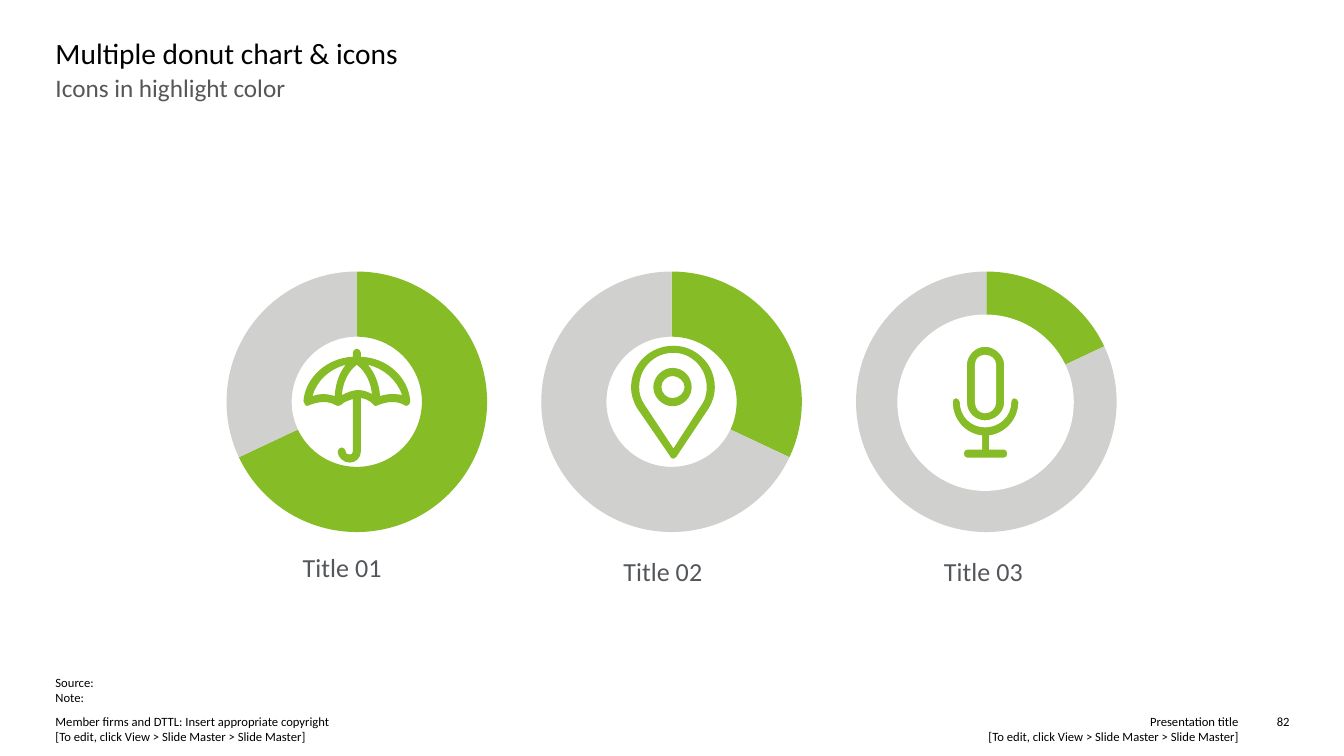
"""Build a slide with three donut charts, each with an icon in its hole."""
from lxml import etree
from pptx import Presentation
from pptx.chart.data import CategoryChartData
from pptx.dml.color import RGBColor
from pptx.enum.chart import XL_CHART_TYPE
from pptx.enum.shapes import MSO_SHAPE
from pptx.enum.text import MSO_ANCHOR, PP_ALIGN
from pptx.oxml import parse_xml
from pptx.oxml.ns import nsdecls, qn
from pptx.util import Inches, Pt

DISC, DONUT = MSO_SHAPE.OVAL, XL_CHART_TYPE.DOUGHNUT
LEFT, RIGHT, TOP = PP_ALIGN.LEFT, PP_ALIGN.RIGHT, MSO_ANCHOR.TOP
GREEN = RGBColor(0x86, 0xBC, 0x25)
GREY = RGBColor(0xD0, 0xD0, 0xCE)
LABEL = RGBColor(0x53, 0x56, 0x5A)
MUTED = RGBColor(0x57, 0x57, 0x57)
BLACK = RGBColor(0, 0, 0)
WHITE = RGBColor(0xFF, 0xFF, 0xFF)

WIDE, HIGH = Inches(13.33), Inches(7.5)
FONT = "Calibri"
EDIT = "[To edit, click View > Slide Master > Slide Master]"

HEAD = ("Multiple donut chart & icons", (4.13, 4.67, 91.82, 4.93), 21, BLACK)
SUB = ("Icons in highlight color", (4.13, 9.55, 91.82, 11.07), 18, MUTED)
NOTES = [
    ("Source:\nNote:", (4.13, 89.25, 91.6, 3.87), LEFT),
    ("Member firms and DTTL: Insert appropriate copyright\v" + EDIT,
     (4.13, 94.4, 43.96, 4), LEFT),
    ("Presentation title\v" + EDIT, (51.99, 94.4, 40.14, 4), RIGHT),
    ("82", (93.4, 94.4, 2.55, 2), RIGHT),
]
CHARTS = [
    ("Title 01", 68, (0.3, 0.71)),
    ("Title 02", 32, (0.32, 0.72)),
    ("Title 03", 18, (0.34, 0.72)),
]
FIRST, STEP = (15.6, 29.87, 21.9, 59.33), 23.42
PLOT = (0.053, 0.102, 0.894, 0.581)

PIN = [
    "668 343|645 343 626 361 626 384|626 392 628 398 632 405|665 453|"
    "665 454 666 455 668 455|669 455 670 454 671 453|703 405|"
    "707 398 709 392 709 384|709 361 690 343 668 343",
    "697 400|668 445|639 401|635 395 634 390 634 384|634 365 649 350 668 350|"
    "686 350 701 365 701 384|701 390 700 395 697 400",
]
RING = [
    "667 365|657 365 648 374 648 384|648 394 657 403 667 403|"
    "678 403 686 394 686 384|686 374 678 365 667 365",
    "667 395|661 395 656 390 656 384|656 378 661 373 667 373|"
    "673 373 679 378 679 384|679 390 673 395 667 395",
]
UMBRELLA = [
    "358 354|358 350|358 348 356 346 354 346|352 346 350 348 350 350|350 354|"
    "325 355 303 374 301 398|301 400 302 401 303 402|304 403 305 403 307 402|"
    "307 402 322 395 333 402|334 403 336 403 338 402|342 398 347 397 350 396|"
    "350 448|350 450 349 451 347 451|344 451 343 450 343 448|"
    "343 446 341 444 339 444|337 444 335 446 335 448|335 454 341 459 347 459|"
    "353 459 358 454 358 448|358 395|366 396 370 401 370 401|"
    "371 402 372 403 373 403|373 403 374 402 375 402|392 395 401 402 401 402|"
    "402 403 404 403 405 402|406 401 407 400 407 398|405 374 384 355 358 354",
    "332 393|323 390 315 391 310 393|314 378 327 366 343 362|338 368 333 378 332 393",
    "355 387|351 387 345 389 339 392|341 373 350 365 354 362|"
    "358 365 367 373 369 391|365 389 361 387 355 387",
    "377 393|376 378 370 368 365 362|382 366 394 378 399 392|394 391 386 390 377 393",
]
MIKE = [
    "977 417|967 417 959 409 959 399|959 362|959 353 967 344 977 344|"
    "987 344 996 353 996 362|996 399|996 409 987 417 977 417",
    "977 352|971 352 967 356 967 362|967 399|967 405 971 410 977 410|"
    "983 410 988 405 988 399|988 362|988 356 983 352 977 352",
    "977 312|929 312 890 351 890 399|890 447 929 487 977 487|"
    "1026 487 1065 447 1065 399|1065 351 1026 312 977 312",
    "981 432|981 446|996 446|998 446 999 448 999 450|999 452 998 454 996 454|"
    "959 454|957 454 956 452 956 450|956 448 957 446 959 446|974 446|974 432|"
    "957 430 945 416 945 399|945 397 946 395 948 395|950 395 952 397 952 399|"
    "952 413 963 424 977 424|991 424 1003 413 1003 399|"
    "1003 397 1004 395 1006 395|1008 395 1010 397 1010 399|1010 416 997 430 981 432",
]


def place(box):
    """Turn percent shares of the slide into lengths."""
    return [int(part * side / 100) for part, side in zip(box, (WIDE, HIGH) * 2)]


def dress(item, values):
    """Set each named attribute of an item."""
    for name, value in values.items():
        setattr(item, name, value)


def style(font, size, color):
    """Set face, size and colour of a font."""
    dress(font, {"name": FONT, "size": Pt(size), "bold": False})
    font.color.rgb = color


def write(shape, text, size, color, align=LEFT):
    """Fill a text frame without margins."""
    frame = shape.text_frame
    frame.text = text
    dress(frame, {"margin_left": 0, "margin_right": 0, "margin_top": 0,
                  "margin_bottom": 0, "word_wrap": True, "vertical_anchor": TOP})
    for para in frame.paragraphs:
        dress(para, {"alignment": align, "space_before": Pt(0)})
        style(para.font, size, color)


def paint(shape, color):
    """Give a shape a flat fill without line or shadow."""
    shape.shadow.inherit = False
    shape.fill.solid()
    shape.fill.fore_color.rgb = color
    shape.line.fill.background()


def draw(shapes, lines, color):
    """Draw outlines as one freeform; six numbers make a curve."""
    paths = [[[int(n) for n in part.split()] for part in line.split("|")]
             for line in lines]
    pen = shapes.build_freeform(*paths[0][0], scale=9144)
    for spot, (start, *parts) in enumerate(paths):
        if spot:
            pen.move_to(*start)
        flat = sum(parts, [])
        pen.add_line_segments(list(zip(flat[::2], flat[1::2])), close=True)
    shape = pen.convert_to_shape()
    nodes = iter(list(shape._element.iter(qn("a:lnTo"))))
    for part in (part for path in paths for part in path[1:]):
        node = next(nodes)
        if len(part) == 6:
            node.tag = qn("a:cubicBezTo")
            for knot in (next(nodes), next(nodes)):
                node.append(knot[0])
                knot.getparent().remove(knot)
    paint(shape, color)


def layout(parent, values, spot):
    """Fix the place of a chart part."""
    for old in parent.findall(qn("c:layout")):
        parent.remove(old)
    node = parse_xml(f"<c:layout {nsdecls('c')}><c:manualLayout/></c:layout>")
    modes = {"layoutTarget": "inner"} if len(values) == 4 else {}
    modes.update(xMode="edge", yMode="edge", **dict(zip("xywh", values)))
    for tag, value in modes.items():
        etree.SubElement(node[0], qn("c:" + tag)).set("val", str(value))
    parent.insert(spot, node)


def donut(shapes, spot, name, share, at):
    """Add one donut chart in its column."""
    data = CategoryChartData()
    data.categories = ["1", "2"]
    data.add_series("Series 1", (share, 100 - share))
    left, *rest = FIRST
    chart = shapes.add_chart(DONUT, *place((left + STEP * spot, *rest)), data).chart
    style(chart.font, 10, BLACK)
    dress(chart, {"has_legend": False, "has_title": True})
    frame = chart.chart_title.text_frame
    frame.text = name
    style(frame.paragraphs[0].runs[0].font, 18.6, LABEL)
    layout(chart.chart_title._element, at, 1)
    plot = chart.plots[0]
    layout(plot._element.getparent(), PLOT, 0)
    plot._element.find(qn("c:holeSize")).set("val", "75")
    for index, color in enumerate((GREEN, GREY)):
        form = plot.series[0].points[index].format
        form.fill.solid()
        form.fill.fore_color.rgb = color
        form.line.fill.background()


def main():
    """Build and save the slide."""
    deck = Presentation()
    dress(deck, {"slide_width": WIDE, "slide_height": HIGH})
    slide = deck.slides.add_slide(deck.slide_layouts[1])
    shapes = slide.shapes
    for holder, (text, box, size, color) in zip(slide.placeholders, (HEAD, SUB)):
        dress(holder, dict(zip(("left", "top", "width", "height"), place(box))))
        write(holder, text, size, color)
    para = slide.placeholders[1].text_frame.paragraphs[0]
    para.space_after = Pt(10)
    props = para._p.get_or_add_pPr()
    props.attrib.update({"marL": "0", "indent": "0"})
    props.find(qn("a:defRPr")).addprevious(parse_xml(f"<a:buNone {nsdecls('a')}/>"))
    for spot, chart in enumerate(CHARTS):
        donut(shapes, spot, *chart)
    pin = shapes.add_group_shape().shapes
    draw(pin, PIN, GREEN)
    draw(pin, RING, GREEN)
    draw(shapes, UMBRELLA, GREEN)
    mike = shapes.add_group_shape().shapes
    paint(mike.add_shape(DISC, *place((66.92, 42, 12.3, 21.87))), GREEN)
    draw(mike, MIKE, WHITE)
    for text, box, align in NOTES:
        write(shapes.add_textbox(*place(box)), text, 9, BLACK, align)
    deck.save("out.pptx")


if __name__ == "__main__":
    main()
